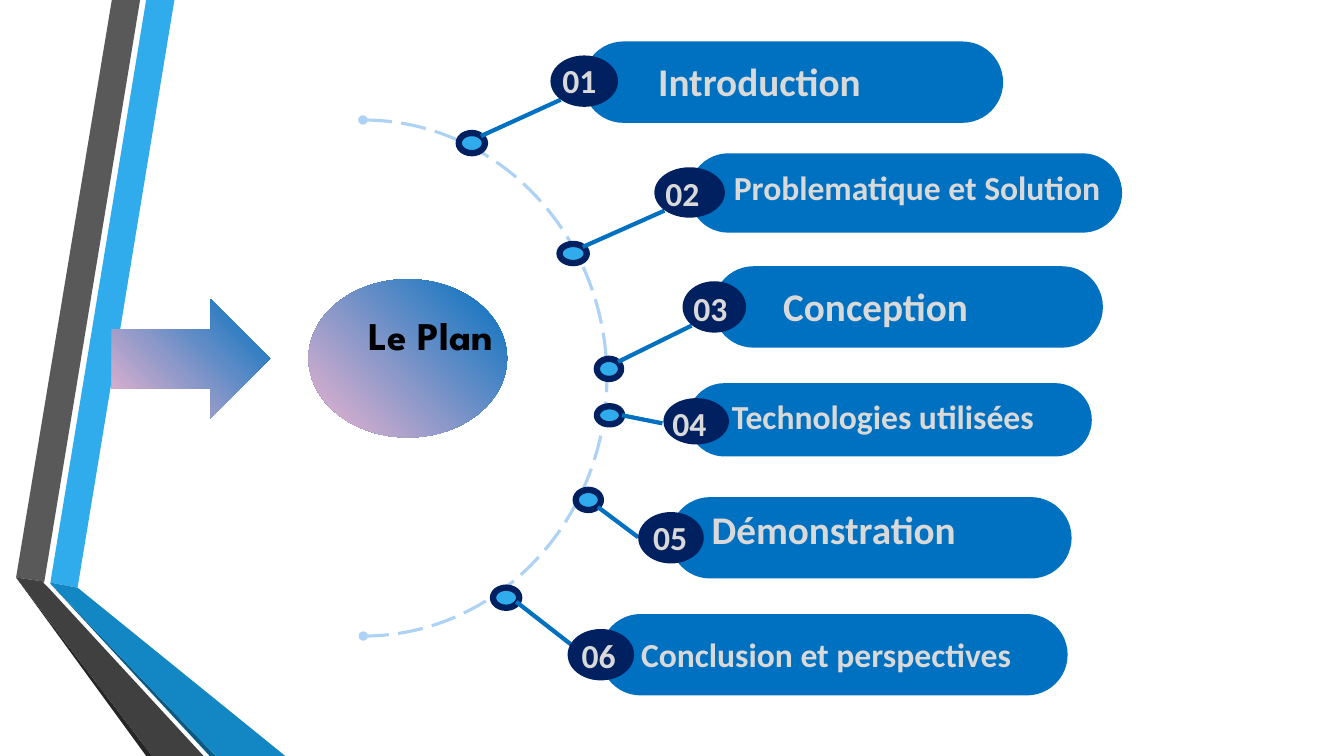
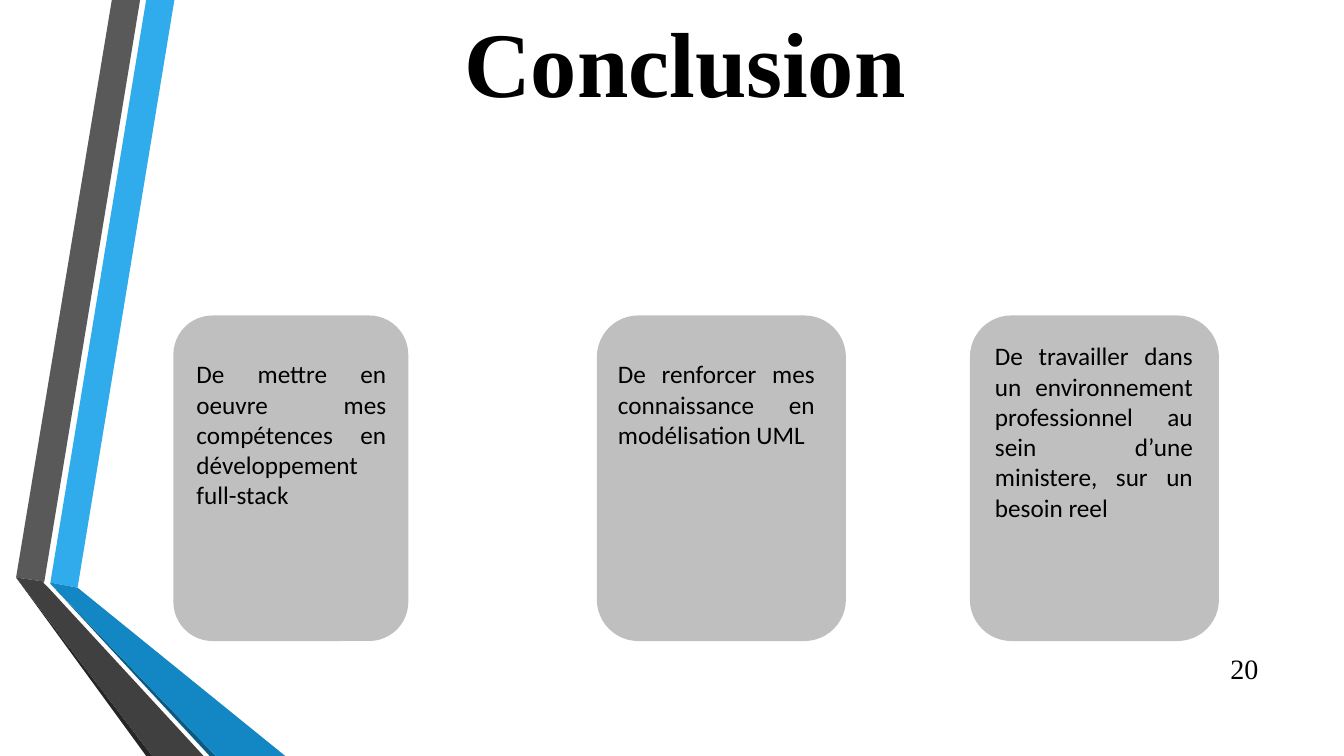
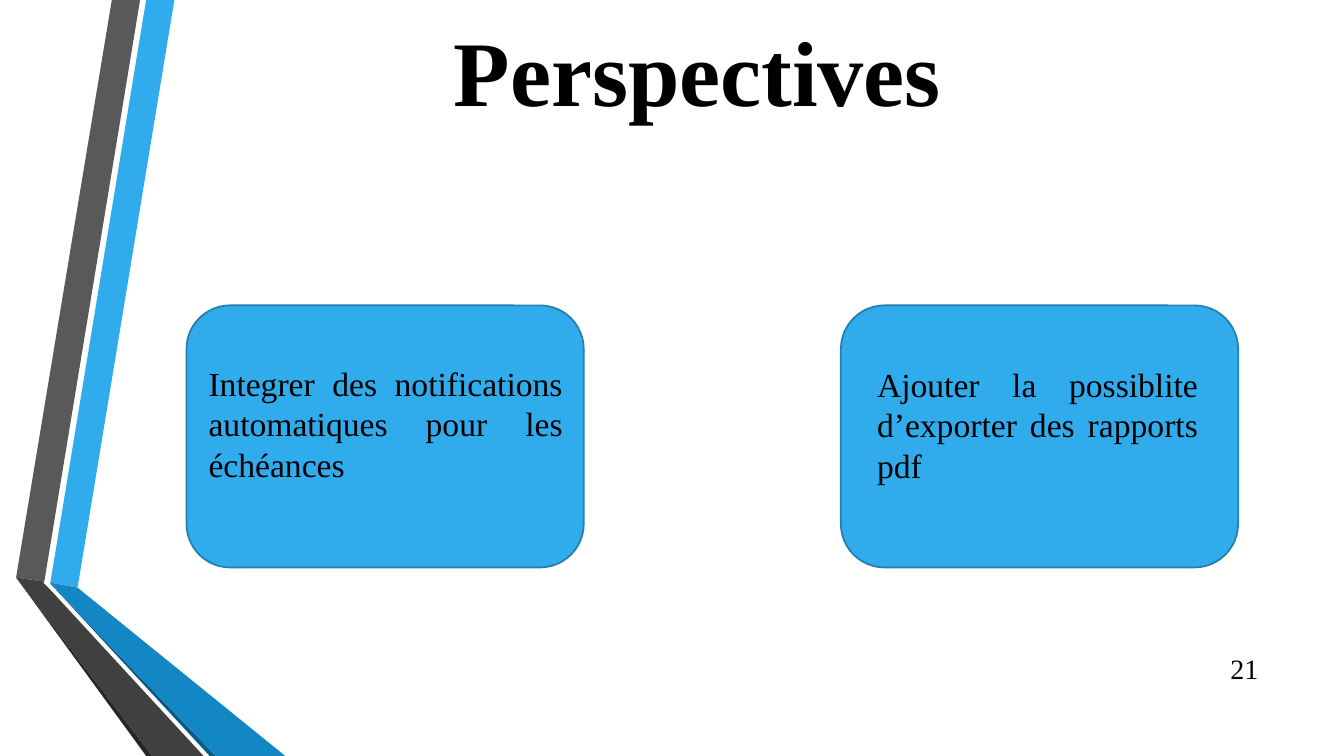
from dataclasses import dataclass

from lxml.etree import SubElement
from pptx import Presentation
from pptx.dml.color import RGBColor
from pptx.enum.dml import MSO_LINE
from pptx.enum.shapes import MSO_CONNECTOR, MSO_SHAPE as Shape
from pptx.enum.text import MSO_ANCHOR as Anchor, MSO_AUTO_SIZE as AutoSize, PP_ALIGN as Align
from pptx.oxml.ns import qn
from pptx.util import Inches, Pt

BLACK = RGBColor(0x00, 0x00, 0x00)
SILVER = RGBColor(0xD9, 0xD9, 0xD9)
CARD_GREY = RGBColor(0xBF, 0xBF, 0xBF)
SLATE = RGBColor(0x59, 0x59, 0x59)
CHARCOAL = RGBColor(0x40, 0x40, 0x40)
SOOT = RGBColor(0x26, 0x26, 0x26)
SKY = RGBColor(0x30, 0xAC, 0xEC)
SKY_EDGE = RGBColor(0x24, 0x7F, 0xAF)
OCEAN = RGBColor(0x12, 0x87, 0xC3)
DEEP_SEA = RGBColor(0x0C, 0x5A, 0x82)
AZURE = RGBColor(0x00, 0x70, 0xC0)
NAVY = RGBColor(0x00, 0x20, 0x60)
PALE_BLUE = RGBColor(0xAE, 0xD2, 0xF4)
PINK = RGBColor(0xEF, 0xB5, 0xCF)

SANS, SERIF, DISPLAY = "Calibri", "Times New Roman", "League Spartan"

RIBBONS = [
    (SKY, [(0.5, 5.78), (0.77, 5.83), (1.73, 0), (1.45, 0)]),
    (SLATE, [(1.39, 0), (1.11, 0), (0.16, 5.73), (0.44, 5.77)]),
    (SOOT, [(0.16, 5.73), (1.45, 7.5), (1.51, 7.5)]),
    (DEEP_SEA, [(0.5, 5.79), (2.08, 7.5), (2.14, 7.5)]),
    (OCEAN, [(0.5, 5.79), (2.14, 7.5), (2.83, 7.5), (0.77, 5.83), (0.5, 5.78)]),
    (CHARCOAL, [(2.02, 7.5), (0.48, 5.83), (0.43, 5.78), (0.44, 5.77),
                (0.16, 5.73), (1.51, 7.5)]),
]


@dataclass
class Step:
    """One entry of the plan, with the places of its parts in inches."""
    title: str
    size: int
    dot: tuple
    link: tuple
    pill: tuple
    badge: tuple
    number: tuple
    label: tuple


STEPS = [
    Step("Introduction", 28, (4.55, 1.32, 0.26, 0.2), (4.77, 1.35, 5.56, 0.99),
         (5.79, 0.42, 4.15, 0.79), (5.46, 0.55, 0.67, 0.51),
         (5.48, 0.55, 0.79, 0.5), (6.43, 0.52, 3.23, 0.57)),
    Step("Problematique et Solution", 24, (5.55, 2.42, 0.27, 0.19), (5.78, 2.45, 6.59, 2.09),
         (6.84, 1.53, 4.28, 0.77), (6.49, 1.66, 0.7, 0.5),
         (6.5, 1.67, 0.81, 0.5), (7.18, 1.61, 4.18, 0.5)),
    Step("Conception", 28, (5.92, 3.56, 0.24, 0.2), (6.13, 3.59, 6.86, 3.23),
         (7.08, 2.65, 3.85, 0.79), (6.77, 2.79, 0.63, 0.51),
         (6.78, 2.81, 0.73, 0.5), (7.67, 2.75, 3, 0.57)),
    Step("Technologies utilisées", 24, (5.92, 4.03, 0.25, 0.18), (6.17, 4.12, 6.57, 4.2),
         (6.83, 3.81, 3.99, 0.71), (6.58, 3.95, 0.65, 0.46),
         (6.57, 3.95, 0.76, 0.5), (7.16, 3.88, 3.61, 0.5)),
    Step("Démonstration", 28, (5.71, 4.86, 0.25, 0.2), (5.93, 5.03, 6.33, 5.33),
         (6.65, 4.94, 3.97, 0.79), (6.33, 5.08, 0.65, 0.51),
         (6.38, 5.08, 0.75, 0.5), (6.96, 4.96, 3.59, 0.57)),
    Step("Conclusion et perspectives", 24, (4.89, 5.83, 0.26, 0.2), (5.12, 5.97, 5.71, 6.43),
         (5.96, 6.1, 4.62, 0.79), (5.63, 6.24, 0.66, 0.51),
         (5.67, 6.25, 0.71, 0.5), (6.26, 6.24, 5.33, 0.5)),
]


def inches(values):
    """Turn plain numbers into lengths."""
    return [Inches(value) for value in values]


def write(frame, text, size=18, font=SANS, color=BLACK, bold=False, align=Align.LEFT):
    """Put one formatted paragraph into a text frame."""
    paragraph = frame.paragraphs[0]
    paragraph.alignment = align
    run = paragraph.add_run()
    run.text = text
    run.font.size, run.font.name, run.font.bold = Pt(size), font, bold
    run.font.color.rgb = color


class Deck:
    """The presentation, its shared style and the current slide."""

    def __init__(self):
        """Set the page size and draw the shared ribbons on the blank layout."""
        self.presentation = Presentation()
        self.presentation.slide_width = Inches(13.33)
        self.presentation.slide_height = Inches(7.5)
        self.layout = self.presentation.slide_layouts[6]
        for placeholder in list(self.layout.placeholders):
            placeholder.element.getparent().remove(placeholder.element)
        self.new_slide()
        ribbons = [self.ribbon(color, points) for color, points in RIBBONS]
        for ribbon in ribbons:
            self.layout.shapes.element.append(ribbon.element)

    def new_slide(self):
        """Start the next slide."""
        self.slide = self.presentation.slides.add_slide(self.layout)

    def paint(self, shape, fill=None, line=None, width=1.25):
        """Give a shape its fill and outline, without a shadow."""
        shape.shadow.inherit = False
        if fill is None:
            shape.fill.background()
        else:
            shape.fill.solid()
            shape.fill.fore_color.rgb = fill
        if line is None:
            shape.line.fill.background()
        else:
            shape.line.color.rgb = line
            shape.line.width = Pt(width)
        return shape

    def ribbon(self, color, points):
        """Draw a filled polygon."""
        start, *rest = [inches(point) for point in points]
        builder = self.slide.shapes.build_freeform(*start)
        builder.add_line_segments(rest, close=True)
        return self.paint(builder.convert_to_shape(), color)

    def shape(self, kind, place, **style):
        """Draw a preset shape."""
        return self.paint(self.slide.shapes.add_shape(kind, *inches(place)), **style)

    def gradient_shape(self, kind, place):
        """Draw a shape that fades from blue at top right to pink."""
        shape = self.shape(kind, place)
        shape.fill.gradient()
        shape.fill.gradient_angle = 225
        for stop, color in zip(shape.fill.gradient_stops, (AZURE, PINK)):
            stop.color.rgb = color

    def dashed_arc(self, place):
        """Draw the right half of an ellipse, dashed, with round ends."""
        arc = self.shape(Shape.ARC, place, line=PALE_BLUE, width=2.25)
        arc.adjustments[0], arc.adjustments[1] = 162, 53.95
        arc.line.dash_style = MSO_LINE.LONG_DASH
        outline = arc.element.spPr.find(qn("a:ln"))
        for end in ("a:headEnd", "a:tailEnd"):
            SubElement(outline, qn(end), type="oval")

    def link(self, ends):
        """Draw a straight line between two points."""
        link = self.slide.shapes.add_connector(MSO_CONNECTOR.STRAIGHT, *inches(ends))
        link.line.color.rgb = AZURE
        link.line.width = Pt(3)
        SubElement(link.element.spPr, qn("a:effectLst"))

    def text(self, text, place, anchor=Anchor.TOP, grow=True, **style):
        """Add a wrapped text box."""
        frame = self.slide.shapes.add_textbox(*inches(place)).text_frame
        frame.word_wrap = True
        frame.vertical_anchor = anchor
        frame.auto_size = AutoSize.SHAPE_TO_FIT_TEXT if grow else AutoSize.NONE
        write(frame, text, **style)

    def heading(self, title, place, page):
        """Add the large title and the page number."""
        self.text(page, (11.98, 6.43, 0.6, 0.4), anchor=Anchor.MIDDLE, grow=False,
                  size=20, font=SERIF, align=Align.RIGHT)
        self.text(title, place, size=66, font=SERIF, bold=True, align=Align.CENTER)

    def card(self, place, text, text_place, fill, line=None, **style):
        """Add a rounded card with justified text."""
        self.shape(Shape.ROUNDED_RECTANGLE, place, fill=fill, line=line)
        self.text(text, text_place, align=Align.JUSTIFY, **style)

    def step(self, number, step):
        """Add one entry of the plan."""
        self.shape(Shape.OVAL, step.dot, fill=SKY, line=NAVY, width=4.5)
        self.link(step.link)
        pill = self.shape(Shape.ROUNDED_RECTANGLE, step.pill, fill=AZURE, line=AZURE)
        pill.adjustments[0] = 0.5
        self.shape(Shape.OVAL, step.badge, fill=NAVY)
        self.text(f"{number:02}", step.number, size=24, color=SILVER, bold=True)
        self.text(step.title, step.label, size=step.size, color=SILVER, bold=True)


def plan(deck):
    """Fill the first slide with the plan."""
    deck.gradient_shape(Shape.RIGHT_ARROW, (1.11, 2.97, 1.57, 1.18))
    deck.gradient_shape(Shape.OVAL, (3.06, 2.77, 1.97, 1.57))
    deck.text("Le Plan", (3.56, 3.04, 1.47, 1.04), size=28, font=DISPLAY, bold=True)
    deck.dashed_arc((1.18, 1.19, 4.84, 5.12))
    for number, step in enumerate(STEPS, 1):
        deck.step(number, step)


def conclusion(deck):
    """Add the slide with the three gains."""
    deck.new_slide()
    deck.heading("Conclusion", (3.06, 0, 7.47, 1.21), "20")
    gains = [
        (1.72, 2.33, "De mettre en oeuvre mes compétences en développement full-stack",
         (1.85, 3.51, 2.08, 1.62)),
        (5.92, 2.47, "De renforcer mes connaissance en modélisation UML",
         (6.03, 3.51, 2.15, 1.01)),
        (9.62, 2.47, "De travailler dans un environnement professionnel au sein "
         "d’une ministere, sur un besoin reel", (9.77, 3.33, 2.16, 1.92)),
    ]
    for left, width, gain, gain_place in gains:
        deck.card((left, 3.13, width, 3.23), gain, gain_place, CARD_GREY)


def perspectives(deck):
    """Add the slide with the two next features."""
    deck.new_slide()
    deck.heading("Perspectives", (4.03, 0.09, 5.78, 1.21), "21")
    features = [
        (1.85, "Integrer des notifications automatiques pour les échéances",
         (1.97, 3.55, 3.71, 1.31)),
        (8.34, "Ajouter la possiblite d’exporter des rapports pdf",
         (8.6, 3.56, 3.38, 1.31)),
    ]
    for left, feature, feature_place in features:
        deck.card((left, 3.03, 3.94, 2.6), feature, feature_place, SKY, SKY_EDGE,
                  size=24, font=SERIF)


def main():
    """Build and save the presentation."""
    deck = Deck()
    plan(deck)
    conclusion(deck)
    perspectives(deck)
    deck.presentation.save("out.pptx")


if __name__ == "__main__":
    main()
